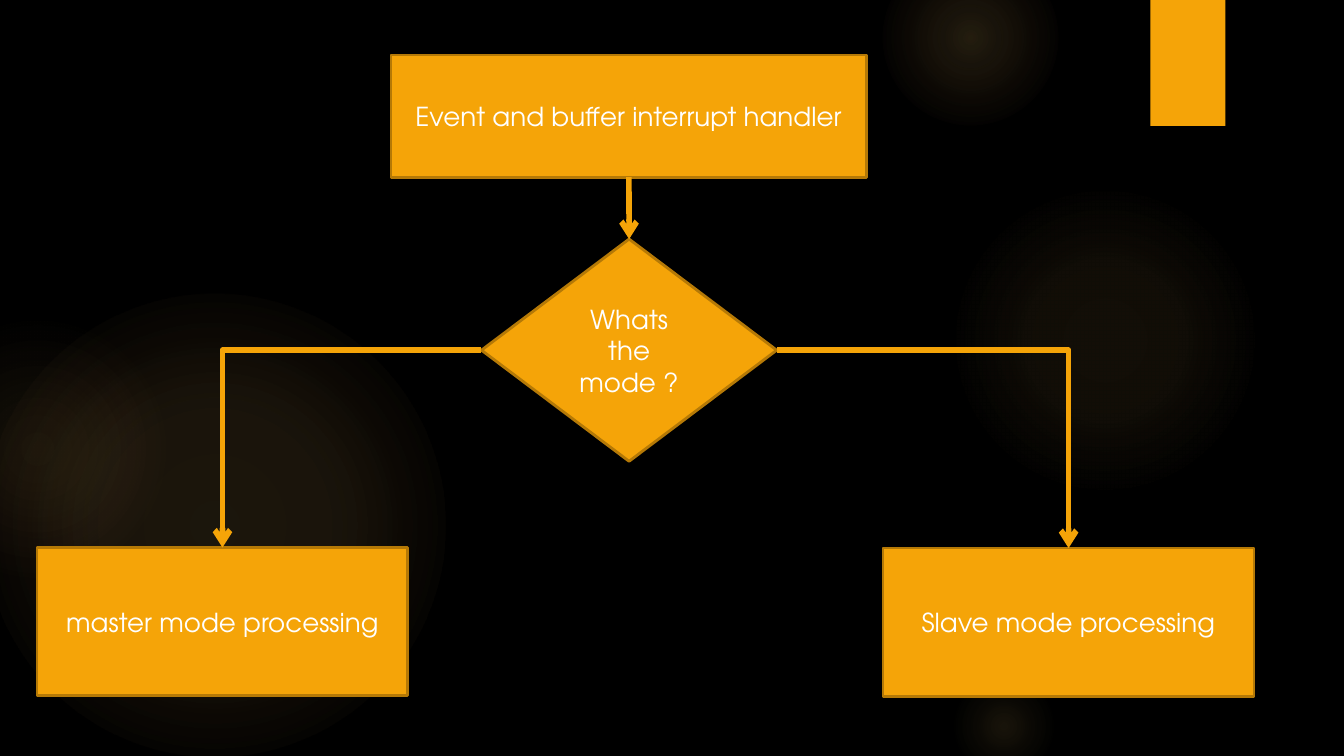
from lxml import etree
from pptx import Presentation
from pptx import util as u
from pptx.dml.color import RGBColor
from pptx.enum import shapes, text
from pptx.oxml import ns

ORANGE, BROWN, WHITE, BLACK = "F5A408", "B57906", "FFFFFF", "000000"
GLOW, PINK_GLOW = "FAC96A", "F59B74"


def color(hex_string):
    return RGBColor.from_string(hex_string)


def add_shape(kind, left, top, width, height, fill):
    """Add a shape measured in centimetres, without shadow or line."""
    shape = page.shapes.add_shape(kind, u.Cm(left), u.Cm(top), u.Cm(width), u.Cm(height))
    shape.shadow.inherit = False
    shape.fill.solid()
    shape.fill.fore_color.rgb = color(fill)
    shape.line.fill.background()
    return shape


deck = Presentation()
deck.slide_width, deck.slide_height = u.Cm(25.4), u.Cm(14.29)
page = deck.slides.add_slide(deck.slide_layouts[6])
page.background.fill.solid()
page.background.fill.fore_color.rgb = color(BLACK)

# Glowing circles: left, top, diameter, then (position %, colour, opacity %)
glows = [
    (-0.32, 5.56, 8.73, [(0, GLOW, 11), (36, GLOW, 10), (75, GLOW, 0)]),
    (-1.75, 6.03, 4.92, [(0, GLOW, 8), (36, GLOW, 5), (71, PINK_GLOW, 0)]),
    (17.94, 3.49, 5.87, [(0, GLOW, 7), (36, GLOW, 6), (69, GLOW, 0)]),
    (16.67, -0.95, 3.33, [(0, GLOW, 14), (36, GLOW, 7), (73, GLOW, 0)]),
    (17.94, 12.7, 2.06, [(0, GLOW, 10), (31, GLOW, 5), (66, GLOW, 0)]),
]
for left, top, size, stops in glows:
    circle = add_shape(shapes.MSO_SHAPE.OVAL, left, top, size, size, GLOW)
    gradient = etree.Element(ns.qn("a:gradFill"), rotWithShape="1")
    stop_list = etree.SubElement(gradient, ns.qn("a:gsLst"))
    for position, tint, opacity in stops:
        stop = etree.SubElement(stop_list, ns.qn("a:gs"), pos=str(position * 1000))
        tint_element = etree.SubElement(stop, ns.qn("a:srgbClr"), val=tint)
        etree.SubElement(tint_element, ns.qn("a:alpha"), val=str(opacity * 1000))
    shade = etree.SubElement(gradient, ns.qn("a:path"), path="circle")
    etree.SubElement(shade, ns.qn("a:fillToRect"), l="50000", t="50000", r="50000", b="50000")
    properties = circle._element.spPr
    properties.replace(properties.find(ns.qn("a:solidFill")), gradient)

add_shape(shapes.MSO_SHAPE.RECTANGLE, 21.74, 0, 1.42, 2.38, ORANGE)

# Flowchart steps
rectangle, diamond = shapes.MSO_SHAPE.RECTANGLE, shapes.MSO_SHAPE.DIAMOND
steps = {
    "handler": (rectangle, 7.39, 1.04, 8.99, 2.31, "Event and buffer interrupt handler"),
    "master": (rectangle, 0.7, 10.35, 7.01, 2.8, "master mode processing"),
    "slave": (rectangle, 16.69, 10.36, 7.01, 2.8, "Slave mode processing"),
    "decision": (diamond, 9.1, 4.52, 5.58, 4.2, "Whats the mode ?"),
}
font_format = {"name": "TeX Gyre Adventor", "size": u.Pt(14)}
boxes = {}
for name, (kind, left, top, width, height, label) in steps.items():
    box = boxes[name] = add_shape(kind, left, top, width, height, ORANGE)
    box.line.color.rgb = color(BROWN)
    box.line.width = u.Pt(1.5)
    frame = box.text_frame
    frame.word_wrap = True
    frame.vertical_anchor = text.MSO_ANCHOR.MIDDLE
    para = frame.paragraphs[0]
    para.alignment = text.PP_ALIGN.CENTER
    span = para.add_run()
    span.text = label
    span.font.color.rgb = color(WHITE)
    for attribute, value in font_format.items():
        setattr(span.font, attribute, value)

# Arrows, glued to the connection sites of the steps
TOP, LEFT, BOTTOM, RIGHT = range(4)
arrows = [
    ("decision", LEFT, "master", shapes.MSO_CONNECTOR.ELBOW),
    ("decision", RIGHT, "slave", shapes.MSO_CONNECTOR.ELBOW),
    ("handler", BOTTOM, "decision", shapes.MSO_CONNECTOR.STRAIGHT),
]
for source, site, target, kind in arrows:
    arrow = page.shapes.add_connector(kind, 0, 0, 0, 0)
    arrow.begin_connect(boxes[source], site)
    arrow.end_connect(boxes[target], TOP)
    arrow.line.color.rgb = color(ORANGE)
    arrow.line.width = u.Pt(3)
    properties = arrow._element.spPr
    if kind == shapes.MSO_CONNECTOR.ELBOW:
        properties.find(ns.qn("a:prstGeom")).set("prst", "bentConnector2")
    etree.SubElement(properties.find(ns.qn("a:ln")), ns.qn("a:tailEnd"), type="arrow")
    etree.SubElement(properties, ns.qn("a:effectLst"))

deck.save("out.pptx")
